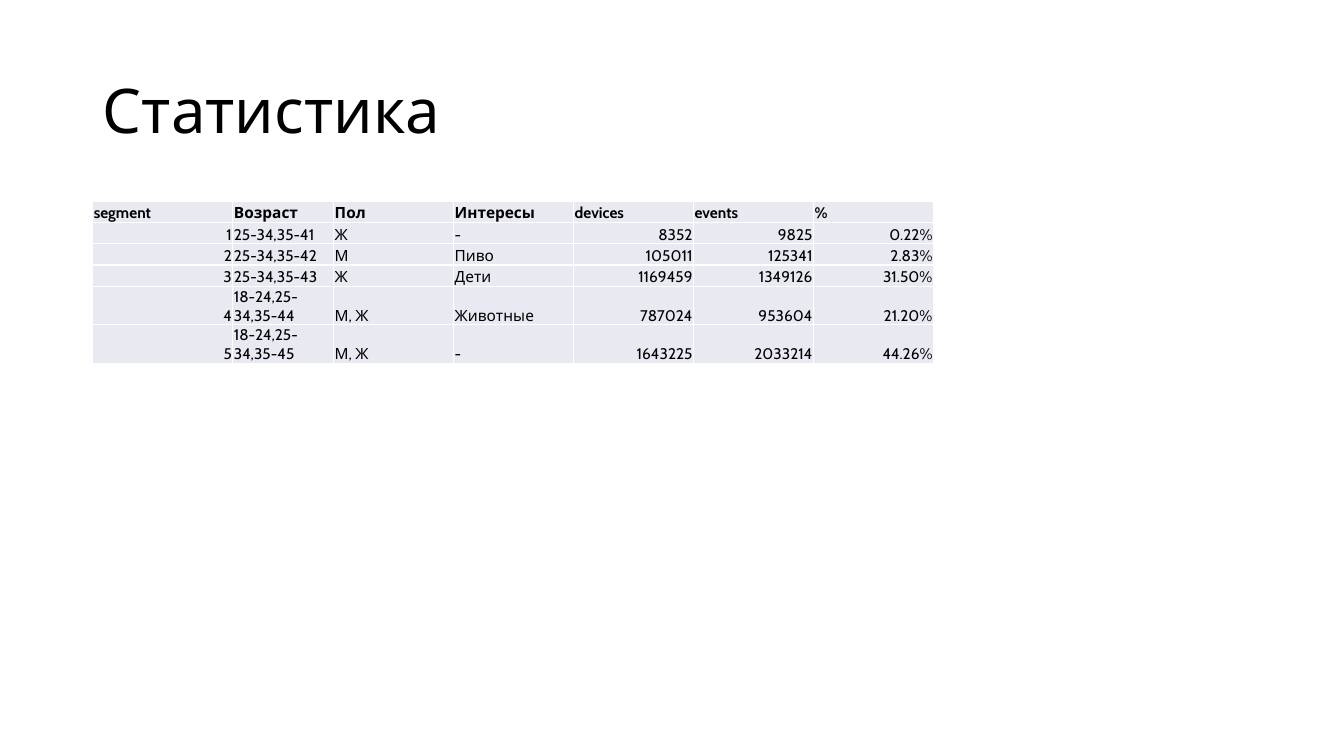
from lxml import etree
from pptx import Presentation
from pptx import util as u
from pptx.dml.color import RGBColor
from pptx.enum import text as t
from pptx.oxml import ns

BLACK = RGBColor(0x00, 0x00, 0x00)
WHITE = RGBColor(0xFF, 0xFF, 0xFF)
PALE = RGBColor(0xE9, 0xEA, 0xF1)


def put(frame, words, size=11, font="Cabin", bold=False, align=t.PP_ALIGN.LEFT, space=1.0):
    para = frame.paragraphs[0]
    para.alignment = align
    para.line_spacing = space
    run = para.add_run()
    run.text = words
    run.font.size = u.Pt(size)
    run.font.name = font
    run.font.bold = bold
    run.font.color.rgb = BLACK


def edge(cell):
    props = cell._tc.get_or_add_tcPr()
    for side in ("a:lnL", "a:lnR", "a:lnT", "a:lnB"):
        line = etree.SubElement(props, ns.qn(side), w=str(u.Pt(1)))
        fill = etree.SubElement(line, ns.qn("a:solidFill"))
        etree.SubElement(fill, ns.qn("a:srgbClr"), val=str(WHITE))


deck = Presentation()
deck.slide_width = u.Inches(13.33)
deck.slide_height = u.Inches(7.5)
slide = deck.slides.add_slide(deck.slide_layouts[5])

title = slide.shapes.title
title.left, title.top = u.Inches(0.92), u.Inches(0.4)
title.width, title.height = u.Inches(11.5), u.Inches(1.45)
title.text_frame.vertical_anchor = t.MSO_ANCHOR.MIDDLE
put(title.text_frame, "Статистика", size=44, font="League Spartan", space=0.9)

rows = [
    ("segment", "Возраст", "Пол", "Интересы", "devices", "events", "%"),
    ("1", "25-34,35-41", "Ж", "-", "8352", "9825", "0.22%"),
    ("2", "25-34,35-42", "М", "Пиво", "105011", "125341", "2.83%"),
    ("3", "25-34,35-43", "Ж", "Дети", "1169459", "1349126", "31.50%"),
    ("4", "18-24,25-34,35-44", "М, Ж", "Животные", "787024", "953604", "21.20%"),
    ("5", "18-24,25-34,35-45", "М, Ж", "-", "1643225", "2033214", "44.26%"),
]
widths = [1.39, 1] + [1.19] * 5
right = {0, 4, 5, 6}

table = slide.shapes.add_table(
    len(rows), len(widths), u.Inches(0.92), u.Inches(2),
    u.Inches(sum(widths)), u.Inches(0.21 * len(rows))).table
for col, width in zip(table.columns, widths):
    col.width = u.Inches(width)

for r, row in enumerate(rows):
    table.rows[r].height = u.Inches(0.21)
    for c, words in enumerate(row):
        cell = table.cell(r, c)
        edge(cell)
        cell.fill.solid()
        cell.fill.fore_color.rgb = PALE
        cell.vertical_anchor = t.MSO_ANCHOR.BOTTOM
        cell.margin_left = cell.margin_right = cell.margin_top = u.Inches(0.01)
        cell.margin_bottom = 0
        side = t.PP_ALIGN.RIGHT if r and c in right else t.PP_ALIGN.LEFT
        put(cell.text_frame, words, bold=r == 0, align=side)

deck.save("out.pptx")
